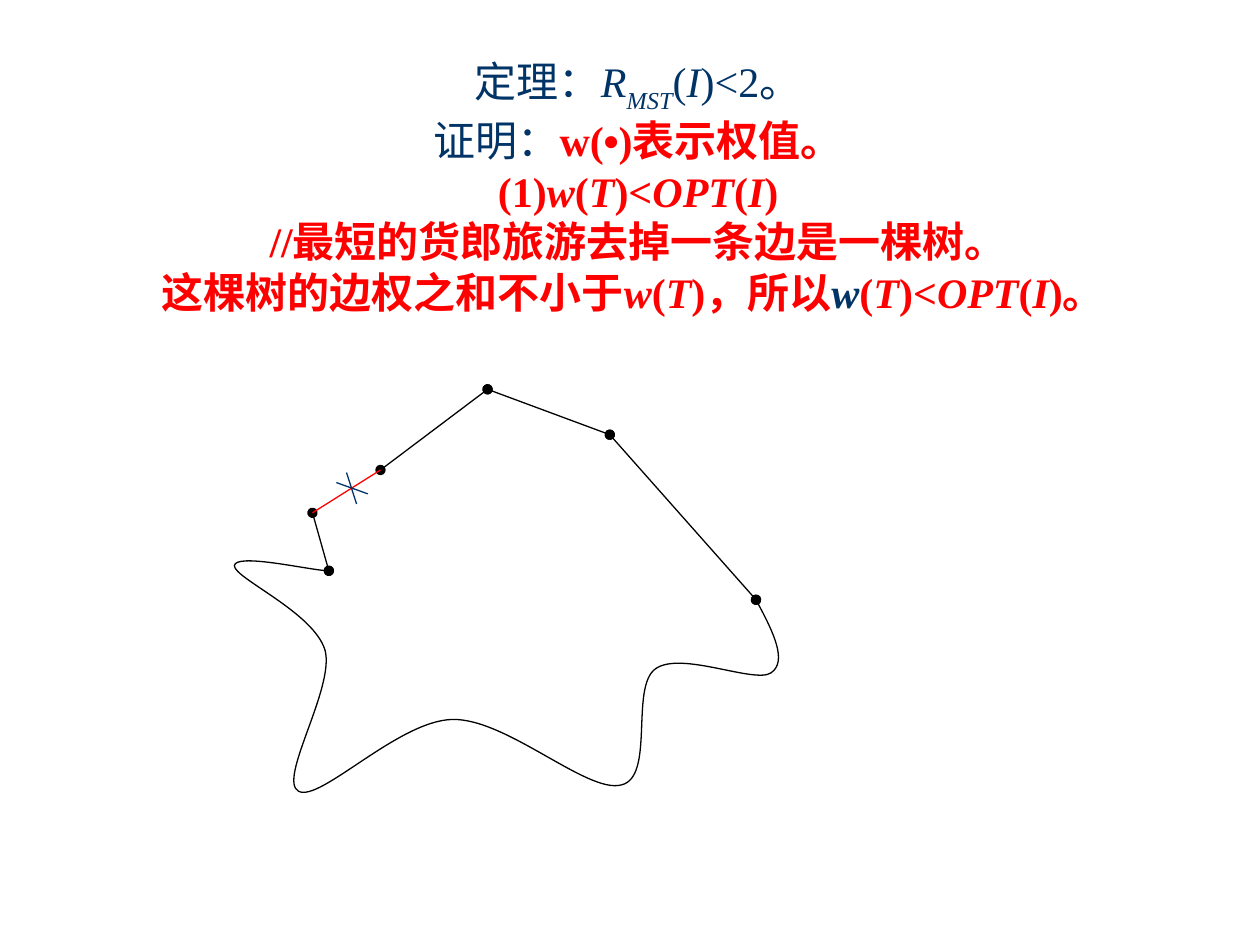
from itertools import pairwise
from lxml import etree
from pptx import Presentation
from pptx.dml.color import RGBColor
from pptx.enum.shapes import MSO_CONNECTOR
from pptx.enum.text import MSO_ANCHOR, MSO_AUTO_SIZE, PP_ALIGN
from pptx.oxml.ns import qn
from pptx.util import Inches, Pt

LINE = MSO_CONNECTOR.STRAIGHT
MIDDLE = MSO_ANCHOR.MIDDLE
FIT = MSO_AUTO_SIZE.SHAPE_TO_FIT_TEXT
CENTER = PP_ALIGN.CENTER

theme = {
    "navy": RGBColor(0x00, 0x33, 0x66),
    "red": RGBColor(0xFF, 0x00, 0x00),
    "black": RGBColor(0x00, 0x00, 0x00),
    "font": "Times New Roman",
    "dot": "Arial",
    "size": Pt(24),
    "line": Pt(0.75),
}


def write(para, text, color="red", bold=True, italic=False, font="font", drop=0):
    run = para.add_run()
    run.text = text
    face = run.font
    face.name, face.size = theme[font], theme["size"]
    face.bold, face.italic = bold, italic
    face.color.rgb = theme[color]
    if drop:
        face._element.set("baseline", str(-1000 * drop))


def trace(shape, color="black", dots=True):
    shape.line.color.rgb = theme[color]
    shape.line.width = theme["line"]
    props = shape._element.spPr
    if dots:
        for end in ("a:headEnd", "a:tailEnd"):
            etree.SubElement(props.get_or_add_ln(), qn(end), type="oval")
    etree.SubElement(props, qn("a:effectLst"))


deck = Presentation()
deck.slide_width, deck.slide_height = Inches(10), Inches(7.5)
col, row = deck.slide_width / 10, deck.slide_height / 7.5
slide = deck.slides.add_slide(deck.slide_layouts[6])

plain = {"color": "navy", "bold": False}
slant = {"italic": True}
proof = [
    [("定理：", plain), ("R", plain | slant), ("MST", plain | slant | {"drop": 30}),
     ("(", plain), ("I", plain | slant), (")<2。", plain)],
    [("证明：", plain), ("w(", {}), ("•", {"font": "dot"}), (")表示权值。", {})],
    [("(1)", {}), ("w", slant), ("(", {}), ("T", slant), (")<", {}),
     ("OPT", slant), ("(", {}), ("I", slant), (")", {})],
    [("//最短的货郎旅游去掉一条边是一棵树。", {})],
    [("这棵树的边权之和不小于", {}), ("w", slant), ("(", {}), ("T", slant),
     (")，所以", {}), ("w", slant | {"color": "navy"}), ("(", {}), ("T", slant),
     (")<", {}), ("OPT", slant), ("(", {}), ("I", slant), (")。 ", {})],
]
box = slide.shapes.add_textbox(
    int(0.98 * col), int(0.39 * row), int(8.17 * col), int(2.17 * row))
frame = box.text_frame
frame.word_wrap = False
frame.auto_size = FIT
frame.vertical_anchor = MIDDLE
for i, parts in enumerate(proof):
    para = frame.add_paragraph() if i else frame.paragraphs[0]
    para.alignment = CENTER
    for text, style in parts:
        write(para, text, **style)

tour = slide.shapes.add_group_shape().shapes
cross = slide.shapes.add_group_shape().shapes

curve = [
    (6, 4.76),
    (6.13, 5), (6.25, 5.25), (6.12, 5.34),
    (5.99, 5.43), (5.4, 5.16), (5.2, 5.31),
    (5, 5.46), (5.2, 6.17), (4.93, 6.23),
    (4.66, 6.3), (4.02, 5.7), (3.59, 5.71),
    (3.16, 5.72), (2.54, 6.37), (2.37, 6.28),
    (2.2, 6.19), (2.66, 5.46), (2.58, 5.16),
    (2.49, 4.86), (1.86, 4.59), (1.86, 4.49),
    (1.87, 4.39), (2.48, 4.53), (2.61, 4.53),
]
fine = 100
dots = [(round(x * fine), round(y * fine)) for x, y in curve]
pen = tour.build_freeform(*dots[0], scale=(col / fine, row / fine))
pen.add_line_segments(dots[1:], close=False)
loop = pen.convert_to_shape()
steps = list(loop._element.iter(qn("a:lnTo")))
for i in range(0, len(steps), 3):
    bend = etree.Element(qn("a:cubicBezTo"))
    steps[i].addprevious(bend)
    for step in steps[i:i + 3]:
        bend.append(step[0])
        step.getparent().remove(step)
loop.fill.background()
trace(loop)

ridge = [(3.02, 3.73), (3.87, 3.09), (4.84, 3.45), (6, 4.76)]
spur = [(2.61, 4.53), (2.48, 4.07)]
edges = [(tour, a, b, "black", True) for a, b in [*pairwise(ridge), spur]]
edges += [
    (tour, spur[1], ridge[0], "red", False),
    (cross, (2.75, 3.75), (2.83, 4), "navy", False),
    (cross, (2.67, 3.83), (2.92, 3.92), "navy", False),
]
for group, (x1, y1), (x2, y2), color, ends in edges:
    edge = group.add_connector(
        LINE, int(x1 * col), int(y1 * row), int(x2 * col), int(y2 * row))
    trace(edge, color, ends)

deck.save("out.pptx")
